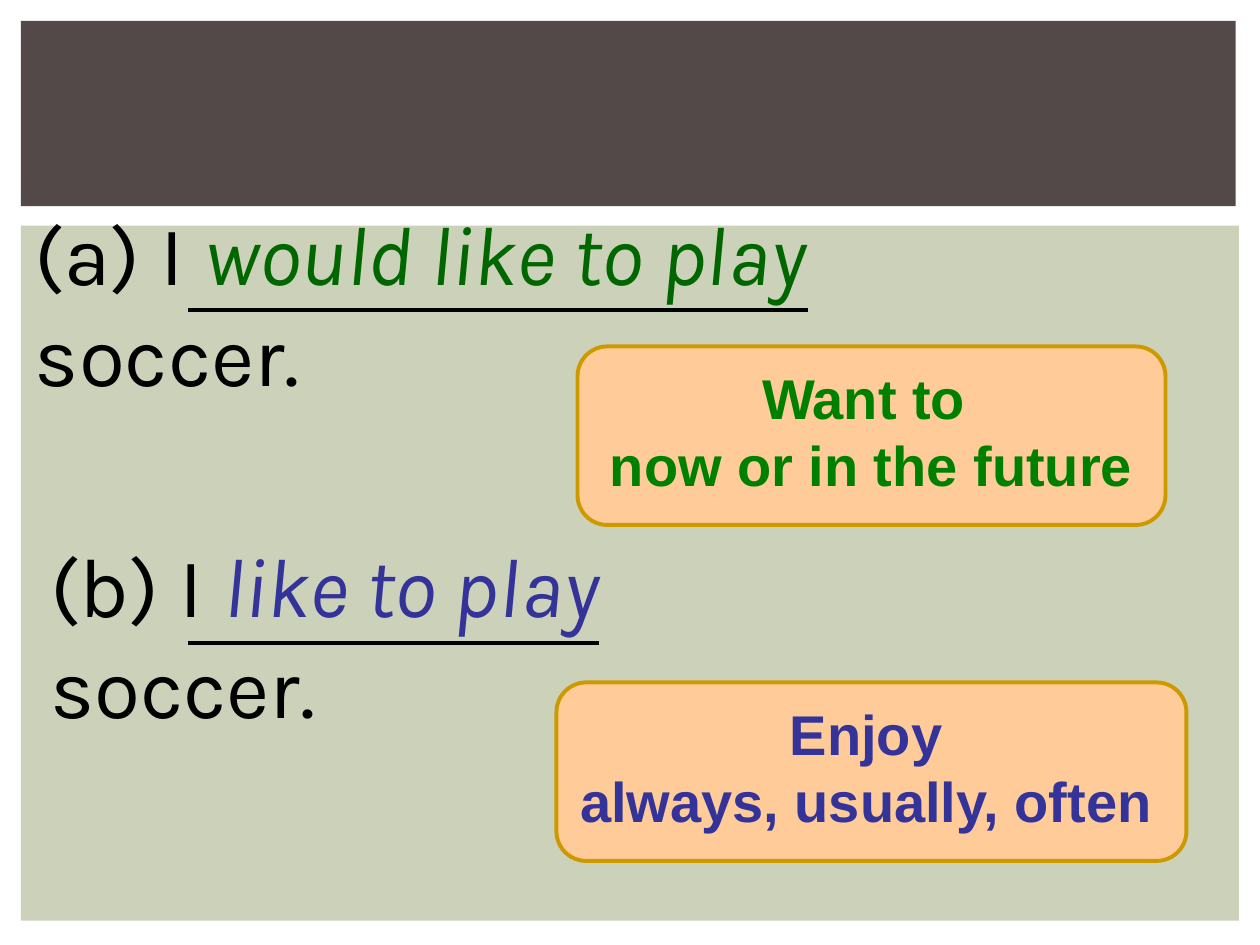
from dataclasses import dataclass

from lxml import etree
from pptx import Presentation
from pptx.dml.color import RGBColor
from pptx.enum.shapes import MSO_CONNECTOR, MSO_SHAPE
from pptx.enum.text import MSO_AUTO_SIZE, PP_ALIGN
from pptx.oxml.ns import qn
from pptx.util import Inches, Pt

RECTANGLE, ROUNDED = MSO_SHAPE.RECTANGLE, MSO_SHAPE.ROUNDED_RECTANGLE
STRAIGHT = MSO_CONNECTOR.STRAIGHT
LEFT, CENTER = PP_ALIGN.LEFT, PP_ALIGN.CENTER
GROW = MSO_AUTO_SIZE.SHAPE_TO_FIT_TEXT

# The slide is a grid of 120 columns by 90 rows, twelve cells to the inch.
CELL = Inches(1) // 12
COLUMNS, ROWS = 120, 90
BLACK = "000000"
LINE_WIDTH = Pt(2.25)


@dataclass
class Area:
    column: float
    row: float
    columns: float
    rows: float

    def lengths(self) -> list[int]:
        return [round(n * CELL) for n in (self.column, self.row, self.columns, self.rows)]


@dataclass
class Sentence:
    area: Area
    opening: str
    verb: str
    color: str
    underline_row: float
    underline_end: float


@dataclass
class Meaning:
    area: Area
    label_columns: float
    lines: list[str]
    color: str


BANDS = [
    (Area(2, 21.5, 116, 66.2), "CCD1B9"),
    (Area(2, 2, 115.7, 17.65), "534949"),
]
SENTENCES = [
    Sentence(Area(2.15, 18.6, 101.65, 10.9), "(a) I ", "would like to play", "006600", 29.55, 77),
    Sentence(Area(3.6, 50.25, 79.55, 10.9), "(b) I ", "like to play", "333399", 61.2, 57),
]
MEANINGS = [
    Meaning(Area(53, 65, 60, 17), 59, ["Enjoy", "always, usually, often"], "333399"),
    Meaning(Area(55, 33, 56, 17), 56, ["Want to ", "now or in the future"], "008000"),
]
UNDERLINE_START = 17.9


def rgb(color: str) -> RGBColor:
    return RGBColor.from_string(color)


def add_text(slide, area: Area, paragraphs, font: str, size: int, bold=False, align=LEFT):
    """Each paragraph is a list of (text, color, italic) spans."""
    frame = slide.shapes.add_textbox(*area.lengths()).text_frame
    frame.word_wrap = True
    frame.auto_size = GROW
    for index, spans in enumerate(paragraphs):
        para = frame.paragraphs[0] if index == 0 else frame.add_paragraph()
        para.alignment = align
        for text, color, italic in spans:
            span = para.add_run()
            span.text = text
            span.font.name = font
            span.font.size = Pt(size)
            span.font.bold = bold
            span.font.italic = italic
            span.font.color.rgb = rgb(color)


def add_box(slide, kind, area: Area, fill: str, outline: str = ""):
    box = slide.shapes.add_shape(kind, *area.lengths())
    box.shadow.inherit = False
    box.fill.solid()
    box.fill.fore_color.rgb = rgb(fill)
    if outline:
        box.line.color.rgb = rgb(outline)
        box.line.width = LINE_WIDTH
    else:
        box.line.fill.background()


def add_underline(slide, row: float, end: float):
    left, top, right, bottom = Area(UNDERLINE_START, row, end, row).lengths()
    line = slide.shapes.add_connector(STRAIGHT, left, top, right, bottom)
    line.line.color.rgb = rgb(BLACK)
    line.line.width = LINE_WIDTH
    etree.SubElement(line._element.spPr, qn("a:effectLst"))


def add_sentence(slide, sentence: Sentence):
    spans = [
        (sentence.opening, BLACK, False),
        (sentence.verb, sentence.color, True),
        (" soccer.", BLACK, False),
    ]
    add_text(slide, sentence.area, [spans], font="Karla", size=48)


def add_meaning(slide, meaning: Meaning):
    area = meaning.area
    add_box(slide, ROUNDED, area, "FFCC99", outline="CC9900")
    label = Area(area.column, area.row + 1, meaning.label_columns, 14)
    paragraphs = [[(line, meaning.color, False)] for line in meaning.lines]
    add_text(slide, label, paragraphs, font="Arial", size=32, bold=True, align=CENTER)


def main():
    deck = Presentation()
    deck.slide_width, deck.slide_height = COLUMNS * CELL, ROWS * CELL
    page = deck.slides.add_slide(deck.slide_layouts[6])
    for area, color in BANDS:
        add_box(page, RECTANGLE, area, color)
    for sentence in SENTENCES:
        add_sentence(page, sentence)
    for meaning in MEANINGS:
        add_meaning(page, meaning)
    for sentence in SENTENCES:
        add_underline(page, sentence.underline_row, sentence.underline_end)
    deck.save("out.pptx")


if __name__ == "__main__":
    main()
